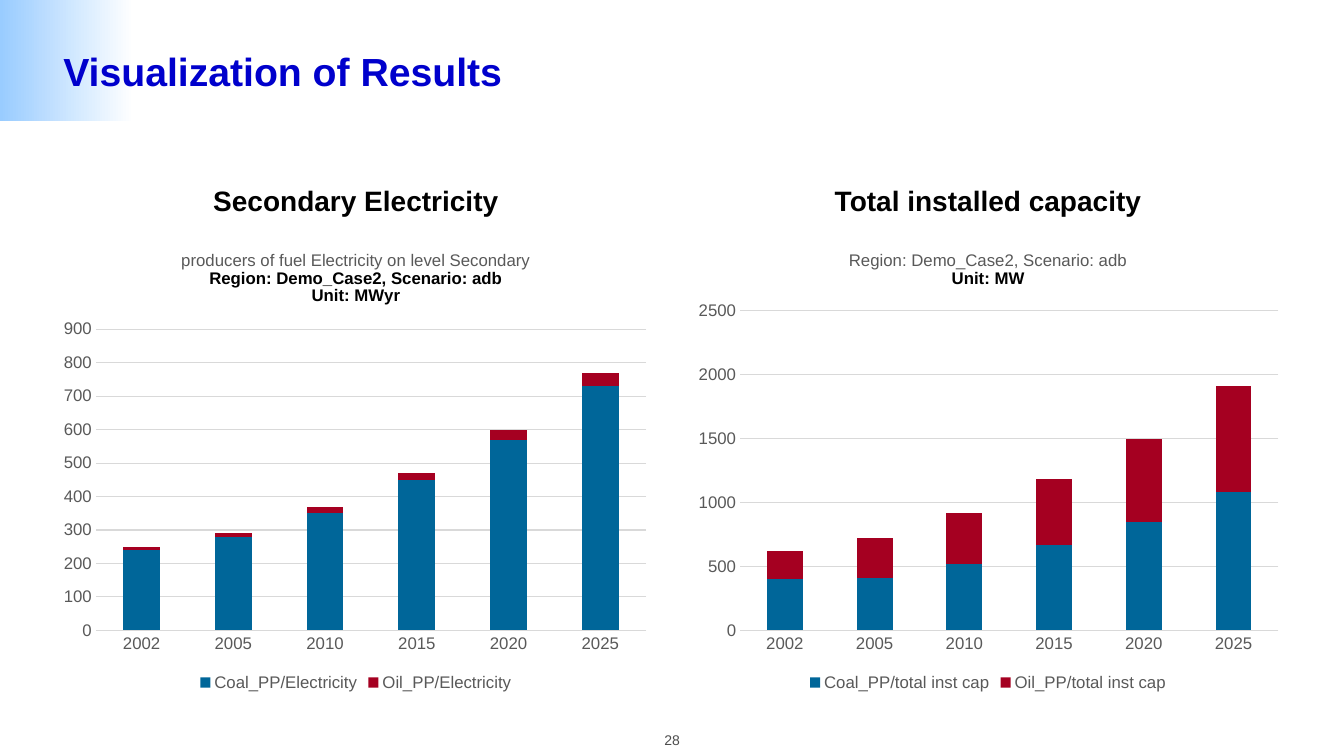
from dataclasses import dataclass

from lxml.etree import SubElement
from pptx import Presentation
from pptx.chart.data import CategoryChartData
from pptx.dml.color import RGBColor
from pptx.enum.chart import XL_CHART_TYPE as ChartType
from pptx.enum.chart import XL_LEGEND_POSITION as LegendPos
from pptx.enum.chart import XL_TICK_MARK as TickMark
from pptx.enum.shapes import MSO_SHAPE as Shape
from pptx.enum.text import MSO_ANCHOR as Anchor
from pptx.enum.text import PP_ALIGN as Align
from pptx.oxml.ns import qn
from pptx.util import Inches, Pt

WHITE = RGBColor(0xFF, 0xFF, 0xFF)
BLACK = RGBColor(0x00, 0x00, 0x00)
SKY = RGBColor(0x99, 0xCC, 0xFF)
TITLE_BLUE = RGBColor(0x00, 0x00, 0xCC)
NUMBER_GRAY = RGBColor(0x4D, 0x4D, 0x4D)
LABEL_GRAY = RGBColor(0x59, 0x59, 0x59)
GRID_GRAY = RGBColor(0xD9, 0xD9, 0xD9)
SERIES_COLORS = (RGBColor(0x00, 0x66, 0x99), RGBColor(0xA5, 0x00, 0x21))

FONT = "Arial"
YEARS = ("2002", "2005", "2010", "2015", "2020", "2025")
PANEL_WIDTH = 6


@dataclass(frozen=True)
class Panel:
    left: float
    heading: str
    caption: tuple[str, ...]
    series: dict[str, tuple[int, ...]]
    axis_max: int
    axis_step: int
    plot_area: dict[str, float]  # fractions of the chart frame


PANELS = (
    Panel(
        0.53, "Secondary Electricity",
        ("producers of fuel Electricity on level Secondary",
         "Region: Demo_Case2, Scenario: adb", "Unit: MWyr"),
        {"Coal_PP/Electricity": (240, 280, 350, 450, 570, 730),
         "Oil_PP/Electricity": (10, 10, 20, 20, 30, 40)},
        900, 100, {"x": 0.07, "y": 0.21, "w": 0.91, "h": 0.65},
    ),
    Panel(
        6.8, "Total installed capacity",
        ("Region: Demo_Case2, Scenario: adb", "Unit: MW"),
        {"Coal_PP/total inst cap": (400, 410, 520, 670, 850, 1080),
         "Oil_PP/total inst cap": (220, 310, 400, 510, 650, 830)},
        2500, 500, {"x": 0.09, "y": 0.17, "w": 0.89, "h": 0.69},
    ),
)


def set_font(font, size: float, color: RGBColor, bold: bool = False) -> None:
    values = {"name": FONT, "size": Pt(size), "bold": bold}
    for name, value in values.items():
        setattr(font, name, value)
    font.color.rgb = color


def add_text(slide, text: str, box: tuple[float, ...], size: float, color: RGBColor,
             bold: bool = True, align: Align = Align.CENTER,
             anchor: Anchor = Anchor.MIDDLE, space_after: float = 0) -> None:
    tf = slide.shapes.add_textbox(*map(Inches, box)).text_frame
    tf.word_wrap = True
    tf.vertical_anchor = anchor
    p = tf.paragraphs[0]
    p.alignment = align
    p.space_after = Pt(space_after)
    r = p.add_run()
    r.text = text
    set_font(r.font, size, color, bold)


def add_corner_gradient(slide) -> None:
    sp = slide.shapes.add_shape(Shape.RECTANGLE, 0, 0, Inches(1.33), Inches(1.2))
    sp.shadow.inherit = False
    sp.line.fill.background()
    sp.fill.gradient()
    sp.fill.gradient_angle = 180
    for stop, color, position in zip(sp.fill.gradient_stops, (WHITE, SKY), (0, 1)):
        stop.color.rgb = color
        stop.position = position


def add_caption(chart, lines: tuple[str, ...]) -> None:
    """Put the lines in the chart title, the first one plain and gray."""
    tf = chart.chart_title.text_frame
    for i, line in enumerate(lines):
        p = tf.paragraphs[0] if i == 0 else tf.add_paragraph()
        r = p.add_run()
        r.text = line
        set_font(r.font, 12, BLACK if i else LABEL_GRAY, bold=i > 0)


def set_plot_area(chart, area: dict[str, float]) -> None:
    plot_area = chart._chartSpace.chart.plotArea
    layout = plot_area.find(qn("c:layout"))
    if layout is None:
        layout = SubElement(plot_area, qn("c:layout"))
        plot_area.insert(0, layout)
    manual = SubElement(layout, qn("c:manualLayout"))
    values = {"layoutTarget": "inner", "xMode": "edge", "yMode": "edge", **area}
    for tag, value in values.items():
        SubElement(manual, qn(f"c:{tag}")).set("val", str(value))


def format_axes(chart, panel: Panel) -> None:
    for axis in (chart.category_axis, chart.value_axis):
        axis.major_tick_mark = axis.minor_tick_mark = TickMark.NONE
        set_font(axis.tick_labels.font, 12, LABEL_GRAY)
    values = {"minimum_scale": 0, "maximum_scale": panel.axis_max,
              "major_unit": panel.axis_step, "has_major_gridlines": True}
    for name, value in values.items():
        setattr(chart.value_axis, name, value)
    chart.value_axis.format.line.fill.background()
    for line in (chart.category_axis.format.line,
                 chart.value_axis.major_gridlines.format.line):
        line.color.rgb = GRID_GRAY
        line.width = Pt(0.75)


def add_stacked_chart(slide, panel: Panel) -> None:
    data = CategoryChartData()
    data.categories = YEARS
    for name, values in panel.series.items():
        data.add_series(name, values)
    box = map(Inches, (panel.left, 2.3, PANEL_WIDTH, 4.6))
    chart = slide.shapes.add_chart(ChartType.COLUMN_STACKED, *box, data).chart
    set_font(chart.font, 10, BLACK)
    add_caption(chart, panel.caption)
    set_plot_area(chart, panel.plot_area)
    format_axes(chart, panel)

    plot = chart.plots[0]
    for name, value in {"gap_width": 150, "overlap": 100,
                        "vary_by_categories": False}.items():
        setattr(plot, name, value)
    for series, color in zip(plot.series, SERIES_COLORS):
        series.format.fill.solid()
        series.format.fill.fore_color.rgb = color

    chart.has_legend = True
    chart.legend.position = LegendPos.BOTTOM
    chart.legend.include_in_layout = False
    set_font(chart.legend.font, 12, LABEL_GRAY)


def main() -> None:
    prs = Presentation()
    prs.slide_width, prs.slide_height = Inches(13.33), Inches(7.5)
    slide = prs.slides.add_slide(prs.slide_layouts[6])
    add_corner_gradient(slide)
    add_text(slide, "28", (6.22, 7.21, 0.89, 0.27), 10, NUMBER_GRAY, bold=False)
    add_text(slide, "Visualization of Results", (0.53, 0.2, 12.27, 1), 28,
             TITLE_BLUE, align=Align.LEFT)
    for panel in PANELS:
        add_text(slide, panel.heading, (panel.left, 1.5, PANEL_WIDTH, 0.7), 20,
                 BLACK, anchor=Anchor.BOTTOM, space_after=6)
        add_stacked_chart(slide, panel)
    prs.save("out.pptx")


if __name__ == "__main__":
    main()
